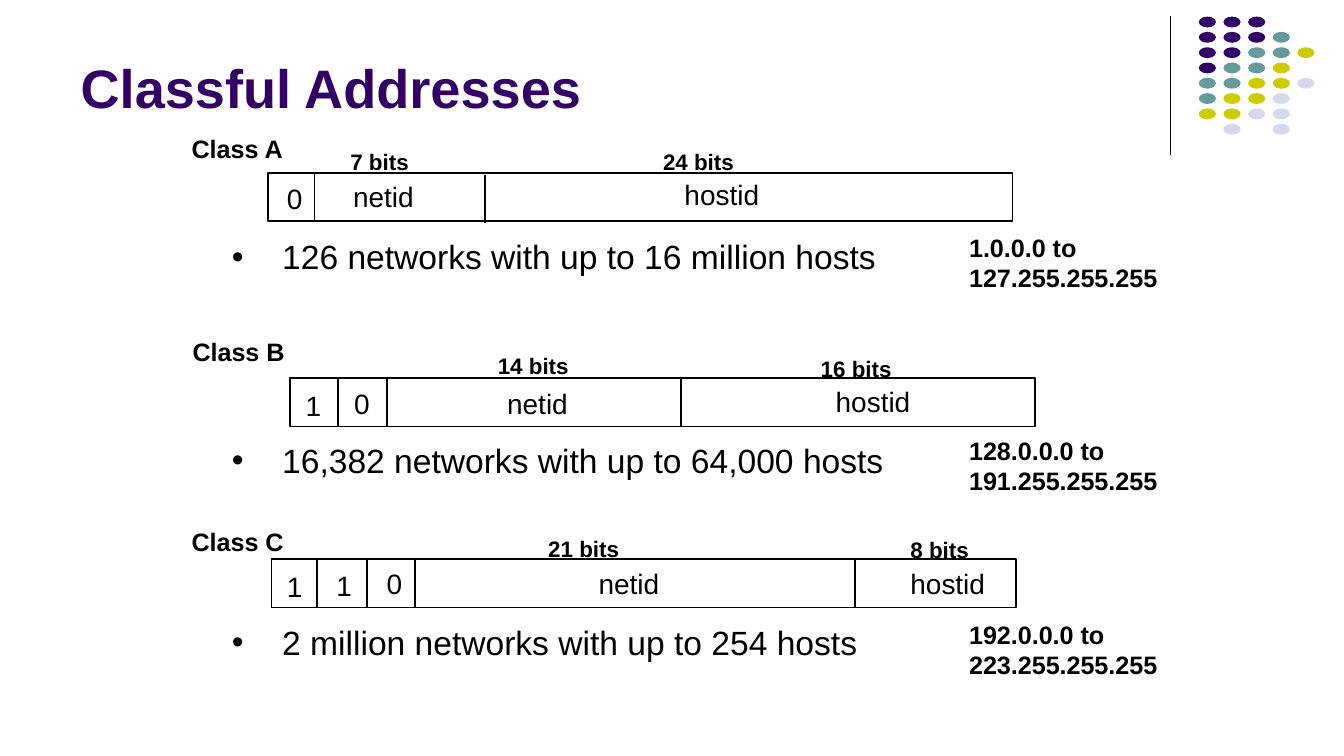
from lxml import etree
from pptx import Presentation
from pptx.dml import color
from pptx.enum import shapes, text
from pptx.oxml import ns
from pptx.util import Pt


def rgb(value):
    return color.RGBColor.from_string(value)


def write(content, left, top, width, height, size=15, bold=False, bullet=False):
    box = slide.shapes.add_textbox(Pt(left), Pt(top), Pt(width), Pt(height))
    frame = box.text_frame
    frame.margin_left = frame.margin_right = Pt(5.2)
    frame.margin_top = frame.margin_bottom = Pt(2.6)
    frame.word_wrap = bullet
    if not bullet:
        frame.auto_size = text.MSO_AUTO_SIZE.SHAPE_TO_FIT_TEXT
    frame.text = content
    for paragraph in frame.paragraphs:
        if bullet:
            props = paragraph._p.get_or_add_pPr()
            props.set("marL", str(Pt(27)))
            props.set("indent", str(-Pt(27)))
            etree.SubElement(props, ns.qn("a:buFont"), typeface="Arial")
            etree.SubElement(props, ns.qn("a:buChar"), char="•")
        paragraph.font.name = "Arial"
        paragraph.font.size = Pt(size)
        paragraph.font.bold = bold
        paragraph.font.color.rgb = rgb("000000")


deck = Presentation()
deck.slide_width, deck.slide_height = Pt(720), Pt(405)
slide = deck.slides.add_slide(deck.slide_layouts[5])

title = slide.shapes.title
title.left, title.top, title.width, title.height = Pt(36), Pt(7), Pt(594), Pt(60.5)
title.text_frame.text = "Classful Addresses"
title.text_frame.vertical_anchor = text.MSO_ANCHOR.BOTTOM
heading = title.text_frame.paragraphs[0]
heading.alignment = text.PP_ALIGN.LEFT
heading.font.name = "Arial"
heading.font.size = Pt(29)
heading.font.bold = True
heading.font.color.rgb = rgb("330066")

dot_colors = {"P": "330066", "T": "669999", "Y": "CCCC00", "L": "D8D8EC"}
dot_rows = ["PPP", "PPPT", "PPTTY", "PTTY", "TTYYL", "TYYL", "YYLL", " L L"]
dots = slide.shapes.add_group_shape()
for row, codes in enumerate(dot_rows):
    for column, code in enumerate(codes):
        if code == " ":
            continue
        dot = dots.shapes.add_shape(
            shapes.MSO_SHAPE.OVAL, Pt(642.2 + 13.2 * column), Pt(8.9 + 8.2 * row), Pt(9.2), Pt(5.8))
        dot.shadow.inherit = False
        dot.fill.solid()
        dot.fill.fore_color.rgb = rgb(dot_colors[code])
        dot.line.fill.background()

rules = [(627, 8.8, 74, 0.75)]

address_classes = [
    dict(name="Class A", name_at=(97.5, 69), bar=(143.5, 92.5),
         dividers=[(168.5, 92.5), (260, 93.5)],
         fields=[("0", 148.5, 94.5), ("netid", 184, 93.5), ("hostid", 361.5, 92.5)],
         sizes=[("7 bits", 182.5, 77), ("24 bits", 350, 77)],
         capacity="126 networks with up to 16 million hosts", capacity_top=124,
         span="1.0.0.0 to\n127.255.255.255", span_top=122),
    dict(name="Class B", name_at=(98, 177.5), bar=(155.5, 202.5),
         dividers=[(181, 202.5), (207.5, 202.5), (365, 203)],
         fields=[("1", 158.5, 205.5), ("0", 184.5, 204.5), ("netid", 266.5, 204.5),
                 ("hostid", 442.5, 203.5)],
         sizes=[("14 bits", 261.5, 186), ("16 bits", 434.5, 187.5)],
         capacity="16,382 networks with up to 64,000 hosts", capacity_top=233,
         span="128.0.0.0 to\n191.255.255.255", span_top=230.5),
    dict(name="Class C", name_at=(97.5, 279.5), bar=(145.5, 299.5),
         dividers=[(170, 299.5), (196.5, 300), (222.5, 300), (458, 299.5)],
         fields=[("1", 148.5, 302.5), ("1", 175, 302), ("0", 202, 301),
                 ("netid", 315.5, 301), ("hostid", 482.5, 301)],
         sizes=[("21 bits", 288.5, 284), ("8 bits", 482.5, 284.5)],
         capacity="2 million networks with up to 254 hosts", capacity_top=330.5,
         span="192.0.0.0 to\n223.255.255.255", span_top=329),
]
field_widths = {1: 19.5, 5: 44, 6: 51}
size_widths = {6: 42.5, 7: 49}

for entry in address_classes:
    left, top = entry["bar"]
    bar = slide.shapes.add_shape(shapes.MSO_SHAPE.RECTANGLE, Pt(left), Pt(top), Pt(399), Pt(26))
    bar.shadow.inherit = False
    bar.fill.background()
    bar.line.color.rgb = rgb("000000")
    bar.line.width = Pt(1)
    rules += [(x, y, 26, 1) for x, y in entry["dividers"]]
    for field, x, y in entry["fields"]:
        write(field, x, y, field_widths[len(field)], 23.5)
    for bits, x, y in entry["sizes"]:
        write(bits, x, y, size_widths[len(bits)], 19.5, size=12, bold=True)
    write(entry["name"], *entry["name_at"], 60.5, 21.5, size=13.5, bold=True)
    write(entry["capacity"], 119, entry["capacity_top"], 390, 28, size=18, bullet=True)
    write(entry["span"], 514, entry["span_top"], 113, 38, size=13.5, bold=True)

for x, y, length, weight in rules:
    rule = slide.shapes.add_connector(
        shapes.MSO_CONNECTOR.STRAIGHT, Pt(x), Pt(y), Pt(x), Pt(y + length))
    rule.line.color.rgb = rgb("000000")
    rule.line.width = Pt(weight)
    etree.SubElement(rule._element.spPr, ns.qn("a:effectLst"))

deck.save("out.pptx")
